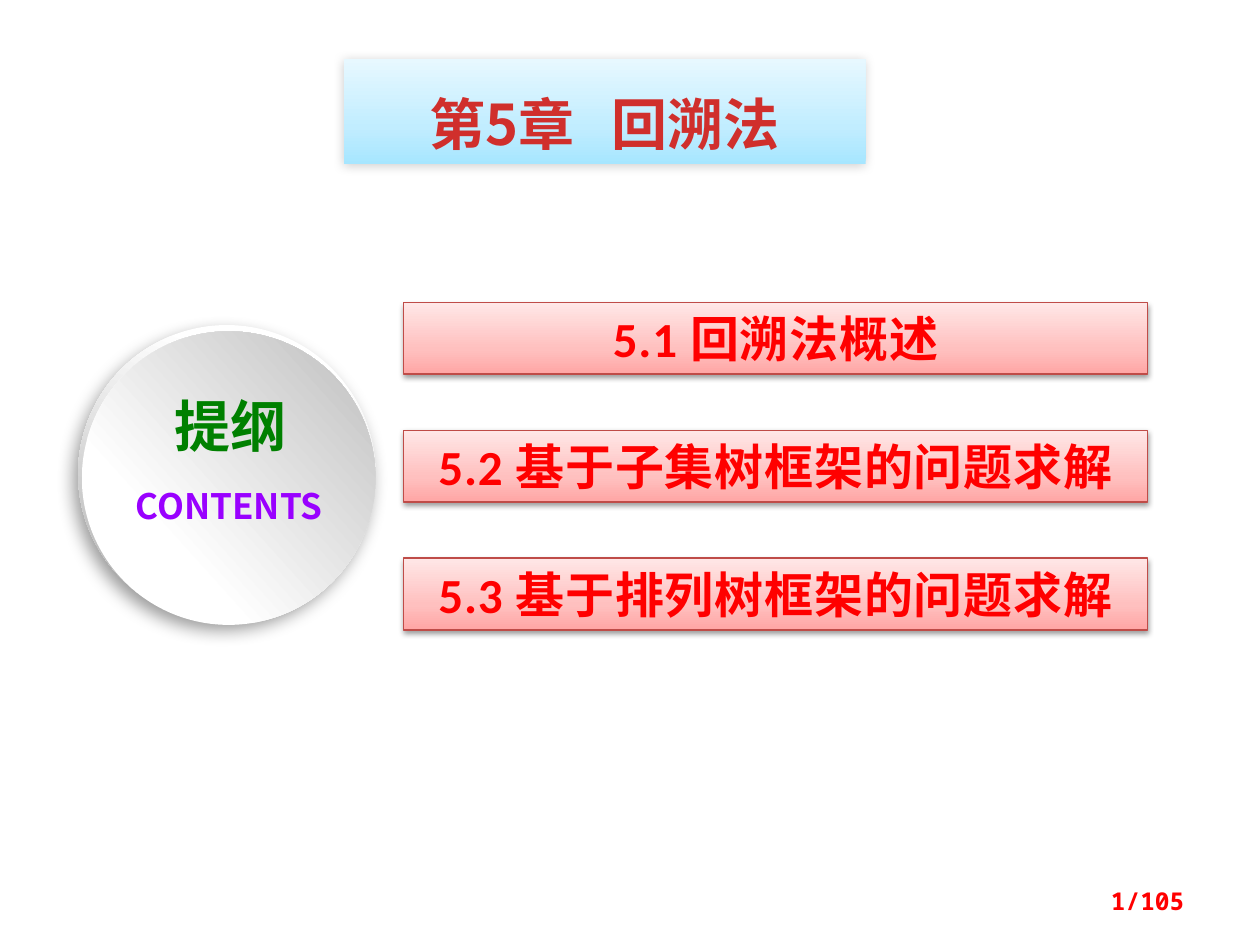
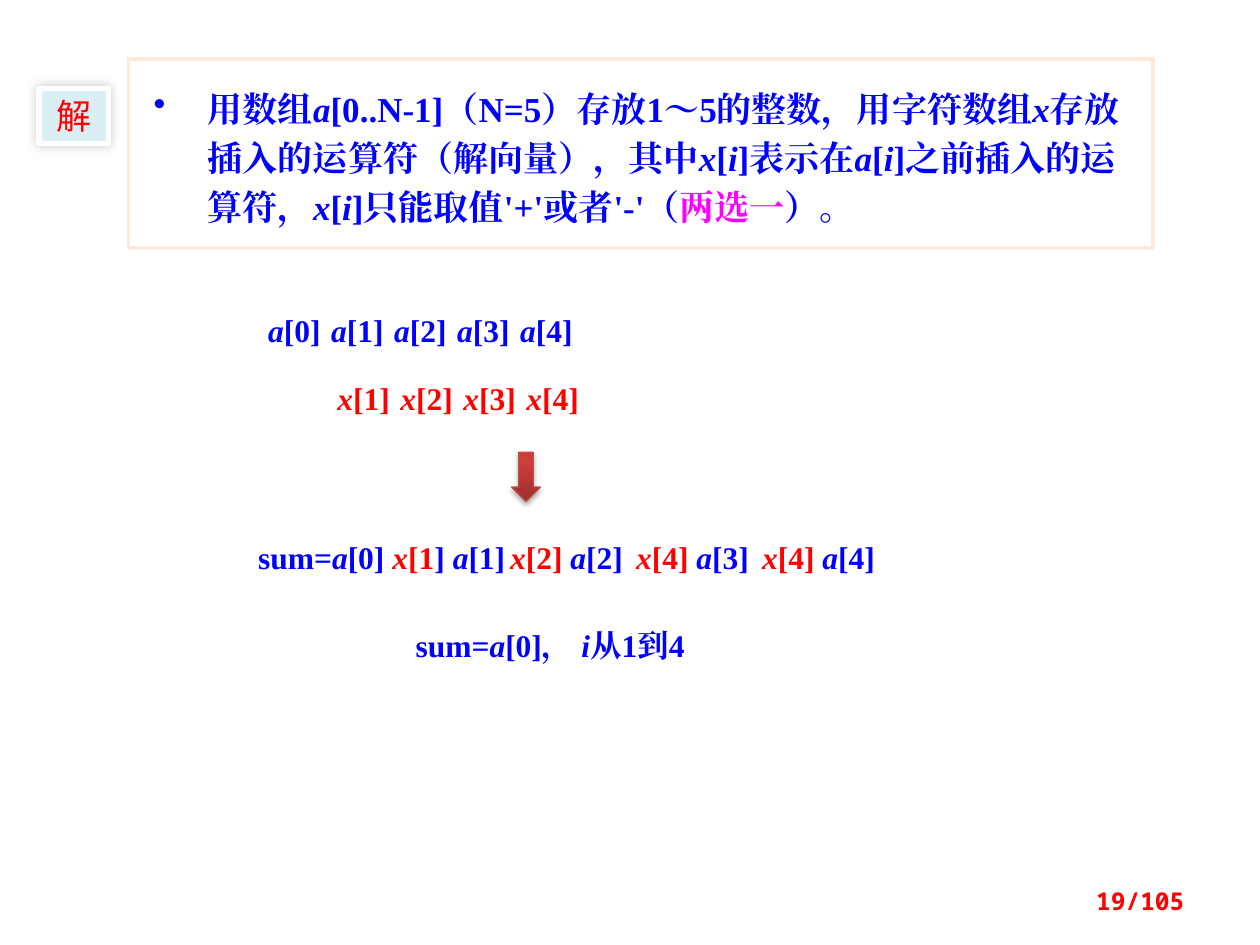
from dataclasses import dataclass
from typing import Optional

import lxml.etree
import pptx
import pptx.dml.color
import pptx.enum.shapes
import pptx.enum.text
import pptx.oxml.ns
import pptx.util

Inches = pptx.util.Inches
Pt = pptx.util.Pt
Kind = pptx.enum.shapes.MSO_SHAPE
Align = pptx.enum.text.PP_ALIGN
Anchor = pptx.enum.text.MSO_ANCHOR
qn = pptx.oxml.ns.qn

HUES = {
    "red": "FF0000", "blue": "0000FF", "pink": "FF00FF", "green": "008000",
    "violet": "9900FF", "title": "D02F2C", "edge": "BF4C48", "white": "FFFFFF",
    "pale": "DBEEF4", "peach": "FDEADA", "black": "000000",
    "sky1": "A7E6FF", "sky2": "C1EDFF", "sky3": "E7F8FF",
    "rose1": "FFA6A5", "rose2": "FFC0BF", "rose3": "FFE7E7",
    "brick1": "9C2F2D", "brick2": "CB3E3A", "brick3": "CE3B37",
    "gray1": "B8B8B8", "gray2": "BFBFBF",
}
SANS, LATIN, SERIF, MONO = "Noto Sans CJK SC", "Calibri", "Times New Roman", "Noto Sans Mono"
TOTAL = 105


@dataclass(frozen=True)
class Box:
    left: float
    top: float
    width: float
    height: float

    def lengths(self) -> list:
        return [Inches(v) for v in (self.left, self.top, self.width, self.height)]


@dataclass(frozen=True)
class Blend:
    stops: tuple
    angle: float = 270


@dataclass(frozen=True)
class Shade:
    alpha: int
    blur: float
    dist: float
    angle: int


@dataclass(frozen=True)
class Look:
    fill: object
    line: Optional[str] = None
    weight: float = 0.75
    shade: Optional[Shade] = None


@dataclass(frozen=True)
class Type:
    face: str
    size: int
    hue: str
    bold: bool = True
    align: Align = Align.LEFT
    anchor: Anchor = Anchor.MIDDLE
    track: float = 0


BANNER = Look(Blend(((0, "sky1"), (35, "sky2"), (100, "sky3"))), shade=Shade(20, 6, 1, 135))
BAR = Look(Blend(((0, "rose1"), (35, "rose2"), (100, "rose3"))), "edge", shade=Shade(38, 3.1, 1.6, 90))
ARROW = Look(Blend(((0, "brick1"), (80, "brick2"), (100, "brick3"))), "edge", shade=Shade(35, 3.1, 1.8, 90))
RIM = Look(Blend(((17, "white"), (88, "gray1")), 107), shade=Shade(39, 10, 5, 123))
DISC = Look(Blend(((29, "white"), (98, "gray2")), 318))
TAG = Look("pale", "white", 3, Shade(20, 6, 0, 225))
FRAME = Look("white", "peach", 2)

HEAD = Type(SANS, 32, "title", align=Align.CENTER)
ITEM = Type(LATIN, 28, "red", align=Align.CENTER, track=0.5)
MATH = Type(SERIF, 18, "blue", anchor=Anchor.TOP)
PAGE = Type(MONO, 14, "red", align=Align.RIGHT)


def tint(hue: str) -> pptx.dml.color.RGBColor:
    return pptx.dml.color.RGBColor.from_string(HUES[hue])


def add_hue(node, hue: str):
    return lxml.etree.SubElement(node, qn("a:srgbClr"), val=HUES[hue])


def paint(shape, look: Look) -> None:
    props = shape._element.spPr
    if isinstance(look.fill, Blend):
        shape.fill.gradient()
        shape.fill.gradient_angle = 360 - look.fill.angle
        stops = props.find(".//" + qn("a:gsLst"))
        for old in list(stops):
            stops.remove(old)
        for spot, hue in look.fill.stops:
            add_hue(lxml.etree.SubElement(stops, qn("a:gs"), pos=str(spot * 1000)), hue)
    else:
        shape.fill.solid()
        shape.fill.fore_color.rgb = tint(look.fill)
    if look.line:
        shape.line.color.rgb = tint(look.line)
        shape.line.width = Pt(look.weight)
    else:
        shape.line.fill.background()
    shape.shadow.inherit = False
    if look.shade:
        shade = look.shade
        drop = lxml.etree.SubElement(
            props.find(qn("a:effectLst")), qn("a:outerShdw"),
            blurRad=str(Pt(shade.blur)), dist=str(Pt(shade.dist)),
            dir=str(shade.angle * 60000), algn="ctr", rotWithShape="0")
        lxml.etree.SubElement(add_hue(drop, "black"), qn("a:alpha"), val=str(shade.alpha * 1000))


def add_form(slide, kind: Kind, box: Box, look: Look):
    shape = slide.shapes.add_shape(kind, *box.lengths())
    paint(shape, look)
    return shape


def write(shape, kind: Type, parts, bullet: bool = False):
    parts = [(kind.hue, parts)] if isinstance(parts, str) else parts
    frame = shape.text_frame
    frame.word_wrap = True
    frame.vertical_anchor = kind.anchor
    para = frame.paragraphs[0]
    para.alignment = kind.align
    if bullet:
        props = para._p.get_or_add_pPr()
        props.set("marL", str(Inches(0.43)))
        props.set("indent", str(Inches(-0.43)))
        para.line_spacing = Pt(28)
        lxml.etree.SubElement(props, qn("a:buChar"), char="•")
    font = para.font
    font.name, font.size, font.bold = kind.face, Pt(kind.size), kind.bold
    font.color.rgb = tint(kind.hue)
    lxml.etree.SubElement(font._element, qn("a:ea"), typeface=kind.face)
    if kind.track:
        font._element.set("spc", str(int(kind.track * 100)))
    for hue, marked in parts:
        for rank, piece in enumerate(marked.split("_")):
            if piece:
                run = para.add_run()
                run.text = piece
                if rank % 2:
                    run.font.italic = True
                if hue != kind.hue:
                    run.font.color.rgb = tint(hue)
    return para


def add_text(slide, box: Box, kind: Type, parts) -> None:
    write(slide.shapes.add_textbox(*box.lengths()), kind, parts)


def add_page(deck, number: int):
    slide = deck.slides.add_slide(deck.slide_layouts[6])
    add_text(slide, Box(7.17, 6.95, 2.33, 0.4), PAGE, f"{number}/{TOTAL}")
    return slide


def draw_outline(deck) -> None:
    slide = add_page(deck, 1)
    banner = add_form(slide, Kind.RECTANGLE, Box(2.73, 0.47, 4.14, 0.83), BANNER)
    banner.text_frame.margin_top = Inches(0.24)
    para = write(banner, HEAD, [("title", "第5章"), ("title", " "), ("title", "回溯法")])
    para.runs[1].font._element.set("spc", "1400")

    topics = ("5.1 回溯法概述", "5.2 基于子集树框架的问题求解", "5.3 基于排列树框架的问题求解")
    for rank, topic in enumerate(topics):
        bar = add_form(slide, Kind.RECTANGLE, Box(3.2, 2.4 + rank * 1.015, 5.91, 0.57), BAR)
        write(bar, ITEM, topic)

    add_form(slide, Kind.OVAL, Box(0.62, 2.58, 2.36, 2.36), RIM)
    add_form(slide, Kind.OVAL, Box(0.65, 2.63, 2.33, 2.33), DISC)
    add_text(slide, Box(1.06, 3.05, 1.54, 0.64), Type(SANS, 32, "green", align=Align.CENTER), "提纲")
    add_text(slide, Box(0.9, 3.79, 1.84, 0.44), Type(SANS, 20, "violet", align=Align.CENTER), "CONTENTS")


def draw_answer(deck) -> None:
    slide = add_page(deck, 19)
    tag = add_form(slide, Kind.RECTANGLE, Box(0.31, 0.7, 0.55, 0.44), TAG)
    write(tag, Type(SANS, 20, "red", bold=False, align=Align.CENTER), "解")

    panel = add_form(slide, Kind.RECTANGLE, Box(1.02, 0.47, 8.13, 1.5), FRAME)
    frame = panel.text_frame
    frame.margin_left = Inches(0.2)
    frame.margin_top = frame.margin_bottom = Inches(0.16)
    write(panel, Type(SERIF, 20, "blue"), [
        ("blue", "用数组_a_[0..N-1]（N=5）存放1～5的整数，用字符数组_x_存放插入的运算符（解向量），"
                 "其中_x_[_i_]表示在_a_[_i_]之前插入的运算符，_x_[_i_]只能取值'+'或者'-'（"),
        ("pink", "两选一"),
        ("blue", "）。"),
    ], bullet=True)

    add_text(slide, Box(2.03, 2.42, 4.77, 0.4), MATH, "\t".join(f"_a_[{i}]" for i in range(5)))
    add_text(slide, Box(2.58, 2.96, 3.67, 0.4), Type(SERIF, 18, "red", anchor=Anchor.TOP),
             "\t".join(f"_x_[{i}]" for i in range(1, 5)))
    add_form(slide, Kind.DOWN_ARROW, Box(4.06, 3.59, 0.23, 0.39), ARROW)

    total = [("blue", "sum=_a_[0] "), ("red", "_x_[1"), ("blue", "] _a_[1]")]
    for sign, term in ((2, 2), (4, 3), (4, 4)):
        total += [("blue", "\t"), ("red", f"_x_[{sign}] "), ("blue", f"_a_[{term}]")]
    add_text(slide, Box(1.95, 4.22, 5.23, 0.4), MATH, total)
    add_text(slide, Box(3.2, 4.92, 2.5, 0.4), MATH, "sum=_a_[0]，_ i_从1到4")


def main() -> None:
    deck = pptx.Presentation()
    deck.slide_width, deck.slide_height = Inches(10), Inches(7.5)
    draw_outline(deck)
    draw_answer(deck)
    deck.save("out.pptx")


if __name__ == "__main__":
    main()
